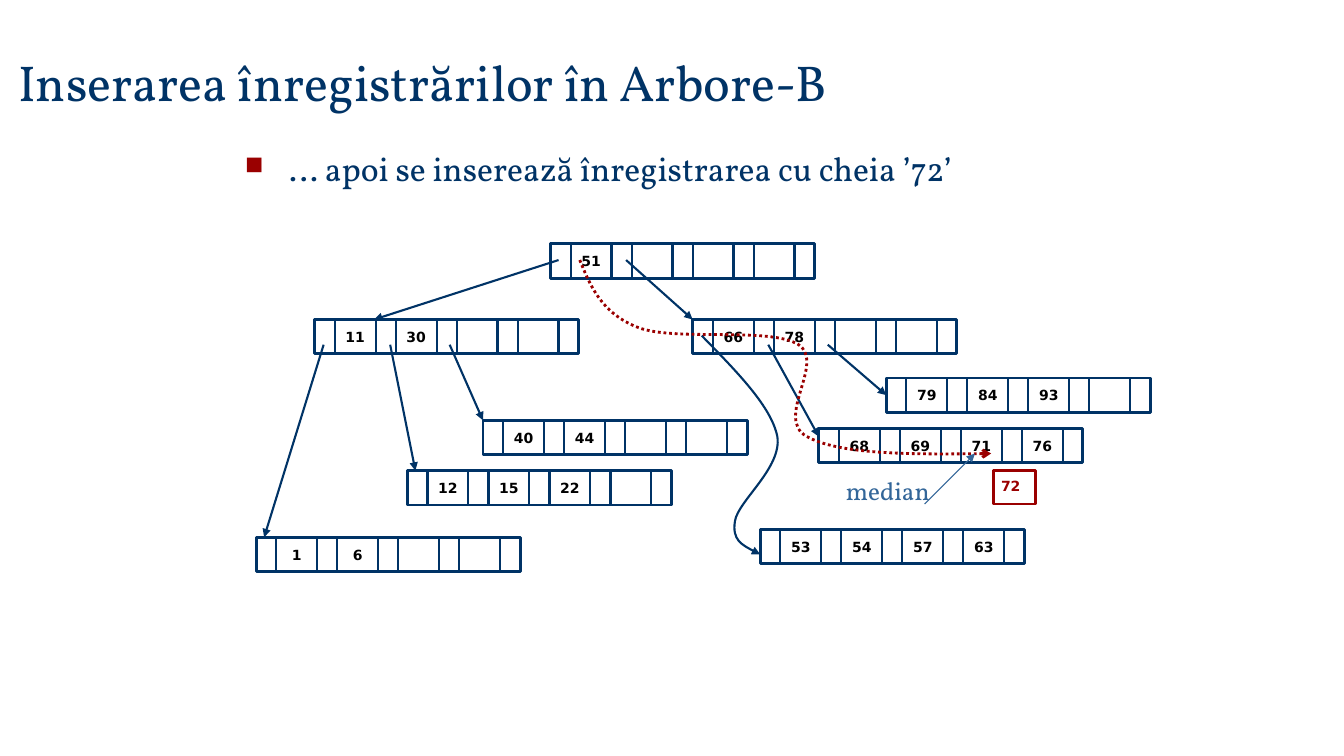
import pptx
import pptx.dml.color
import pptx.enum.dml
import pptx.enum.shapes
import pptx.enum.text
import pptx.oxml
import pptx.oxml.ns
import pptx.util
from pptx.util import Inches

NAVY, RED, STEEL, BLACK, WHITE = "003366", "9A0000", "336699", "000000", "FFFFFF"
ALIGN = pptx.enum.text.PP_ALIGN
POINTER_WIDTH = 0.2
PITCH = 0.605  # one pointer cell plus one key cell
KEY_WIDTH = PITCH - POINTER_WIDTH
KEYS_PER_NODE = 4


def rgb(hex_colour):
    """Turn a hex string into a colour."""
    return pptx.dml.color.RGBColor.from_string(hex_colour)


def add_xml(parent, tag, **attributes):
    """Append a DrawingML element with the given attributes and return it."""
    element = pptx.oxml.parse_xml(f"<a:{tag} {pptx.oxml.ns.nsdecls('a')}/>")
    for name, value in attributes.items():
        element.set(name, value)
    parent.append(element)
    return element


class TreeSlide:
    """The slide with the fonts and line styles of the B-tree."""

    text_font = "Vollkorn"
    key_font = "DejaVu Sans"

    def __init__(self, presentation):
        """Add a title-only slide."""
        self.slide = presentation.slides.add_slide(presentation.slide_layouts[5])
        self.shapes = self.slide.shapes

    def format_text(self, frame, text, size, colour, font, bold=False, align=ALIGN.LEFT):
        """Fill a text frame with one formatted paragraph."""
        frame.text = text
        frame.word_wrap = True
        frame.auto_size = pptx.enum.text.MSO_AUTO_SIZE.NONE
        paragraph = frame.paragraphs[0]
        paragraph.alignment = align
        style = paragraph.runs[0].font
        style.size, style.name, style.bold = pptx.util.Pt(size), font, bold
        style.color.rgb = rgb(colour)
        return paragraph

    def format_line(self, line, colour, width, arrow=None):
        """Set colour, width and optional end arrow of a line."""
        line.color.rgb = rgb(colour)
        line.width = pptx.util.Pt(width)
        if arrow:
            add_xml(line._get_or_add_ln(), "tailEnd", type=arrow)

    def title(self, text, left, top, width, height):
        """Place and format the title placeholder."""
        title = self.shapes.title
        title.left, title.top = Inches(left), Inches(top)
        title.width, title.height = Inches(width), Inches(height)
        self.format_text(title.text_frame, text, 36, NAVY, self.text_font)
        title.text_frame.vertical_anchor = pptx.enum.text.MSO_ANCHOR.BOTTOM

    def text(self, text, left, top, width, height, size, colour, font, parent=None, **style):
        """Add a text box and return its paragraph."""
        box = (parent or self.shapes).add_textbox(
            Inches(left), Inches(top), Inches(width), Inches(height))
        return self.format_text(box.text_frame, text, size, colour, font, **style)

    def bullet(self, text, left, top, width, height):
        """Add a text box with one square-bulleted line."""
        paragraph = self.text(text, left, top, width, height, 24, NAVY, self.text_font)
        properties = paragraph._p.get_or_add_pPr()
        indent = Inches(0.44)
        properties.set("marL", str(indent))
        properties.set("indent", str(-indent))
        add_xml(add_xml(properties, "buClr"), "srgbClr", val=RED)
        add_xml(properties, "buSzPct", val="75000")
        add_xml(properties, "buChar", char="■")

    def box(self, left, top, width, height, colour, parent=None):
        """Add a white outlined rectangle."""
        box = (parent or self.shapes).add_shape(
            pptx.enum.shapes.MSO_SHAPE.RECTANGLE,
            Inches(left), Inches(top), Inches(width), Inches(height))
        box.shadow.inherit = False
        box.fill.solid()
        box.fill.fore_color.rgb = rgb(WHITE)
        self.format_line(box.line, colour, 2)

    def line(self, start, end, colour=NAVY, width=1.5, arrow=None, parent=None):
        """Add a straight connector."""
        connector = (parent or self.shapes).add_connector(
            pptx.enum.shapes.MSO_CONNECTOR.STRAIGHT,
            *(Inches(value) for value in (*start, *end)))
        self.format_line(connector.line, colour, width, arrow)
        add_xml(connector._element.spPr, "effectLst")

    def curve(self, points, colour, width, arrow, dash=None):
        """Add a Bezier curve: a start, then three points per segment."""
        corners = [(Inches(x), Inches(y)) for x, y in points]
        builder = self.shapes.build_freeform(*corners[0], scale=1.0)
        builder.add_line_segments(corners[1:], close=False)
        curve = builder.convert_to_shape()
        legs = list(curve._element.iter(pptx.oxml.ns.qn("a:lnTo")))
        outline = legs[0].getparent()
        for first in range(0, len(legs), 3):
            bezier = add_xml(outline, "cubicBezTo")
            for leg in legs[first:first + 3]:
                bezier.append(leg[0])
                outline.remove(leg)
        curve.shadow.inherit = False
        curve.fill.background()
        if dash:
            curve.line.dash_style = dash
        self.format_line(curve.line, colour, width, arrow)

    def node(self, left, top, keys):
        """Add a grouped tree node with pointer cells and key cells."""
        group = self.shapes.add_group_shape().shapes
        self.box(left, top, KEYS_PER_NODE * PITCH + POINTER_WIDTH, 0.34, NAVY, group)
        for index in range(KEYS_PER_NODE):
            key_left = left + POINTER_WIDTH + index * PITCH
            for x in (key_left, key_left + KEY_WIDTH):
                self.line((x, top + 0.01), (x, top + 0.35), parent=group)
            if index < len(keys):
                self.text(str(keys[index]), key_left, top + 0.04, KEY_WIDTH, 0.27, 10, BLACK,
                          self.key_font, group, bold=True, align=ALIGN.CENTER)


presentation = pptx.Presentation()
presentation.slide_width, presentation.slide_height = Inches(13.33), Inches(7.5)
tree = TreeSlide(presentation)
tree.title("Inserarea înregistrărilor în Arbore-B", 0.08, 0.36, 10.64, 0.8)
tree.bullet("… apoi se inserează înregistrarea cu cheia ’72’", 2.33, 1.42, 9.25, 2.17)

NODES = [
    (6.87, 3.17, [66, 78]),
    (5.46, 2.42, [51]),
    (3.12, 3.17, [11, 30]),
    (4.79, 4.17, [40, 44]),
    (4.04, 4.67, [12, 15, 22]),
    (8.79, 3.75, [79, 84, 93]),
    (8.12, 4.25, [68, 69, 71, 76]),
    (7.54, 5.25, [53, 54, 57, 63]),
    (2.54, 5.33, [1, 6]),
]
for left, top, keys in NODES:
    tree.node(left, top, keys)

CHILD_LINKS = [
    ((5.54, 2.58), (3.71, 3.17)),
    ((6.21, 2.58), (6.87, 3.17)),
    ((3.21, 3.42), (2.62, 5.33)),
    ((3.87, 3.42), (4.12, 4.67)),
    ((4.46, 3.42), (4.79, 4.17)),
    ((7.62, 3.42), (8.12, 4.33)),
    ((8.21, 3.42), (8.79, 3.92)),
]
for parent_point, child_point in CHILD_LINKS:
    tree.line(parent_point, child_point, arrow="triangle")

first_child_link = [(6.96, 3.33), (7.3, 3.68), (7.65, 4.03), (7.71, 4.33), (7.76, 4.64),
                    (7.32, 4.97), (7.29, 5.17), (7.26, 5.36), (7.4, 5.43), (7.54, 5.5)]
tree.curve(first_child_link, NAVY, 1.5, "triangle")
search_route = [(5.75, 2.58), (5.86, 2.85), (5.97, 3.11), (6.33, 3.25), (6.69, 3.39),
                (7.64, 3.24), (7.92, 3.42), (8.19, 3.6), (7.68, 4.15), (8, 4.33),
                (8.32, 4.51), (9.08, 4.51), (9.83, 4.5)]
tree.curve(search_route, RED, 2, "arrow", pptx.enum.dml.MSO_LINE.ROUND_DOT)

tree.box(9.85, 4.67, 0.42, 0.33, RED)
tree.text("72", 9.83, 4.69, 0.58, 0.27, 10, RED, tree.key_font, bold=True)
tree.line((9.17, 5), (9.67, 4.5), STEEL, 0.75, "triangle")
tree.text("median", 8.08, 4.67, 1.45, 0.4, 18, STEEL, tree.text_font, align=ALIGN.CENTER)

presentation.save("out.pptx")
